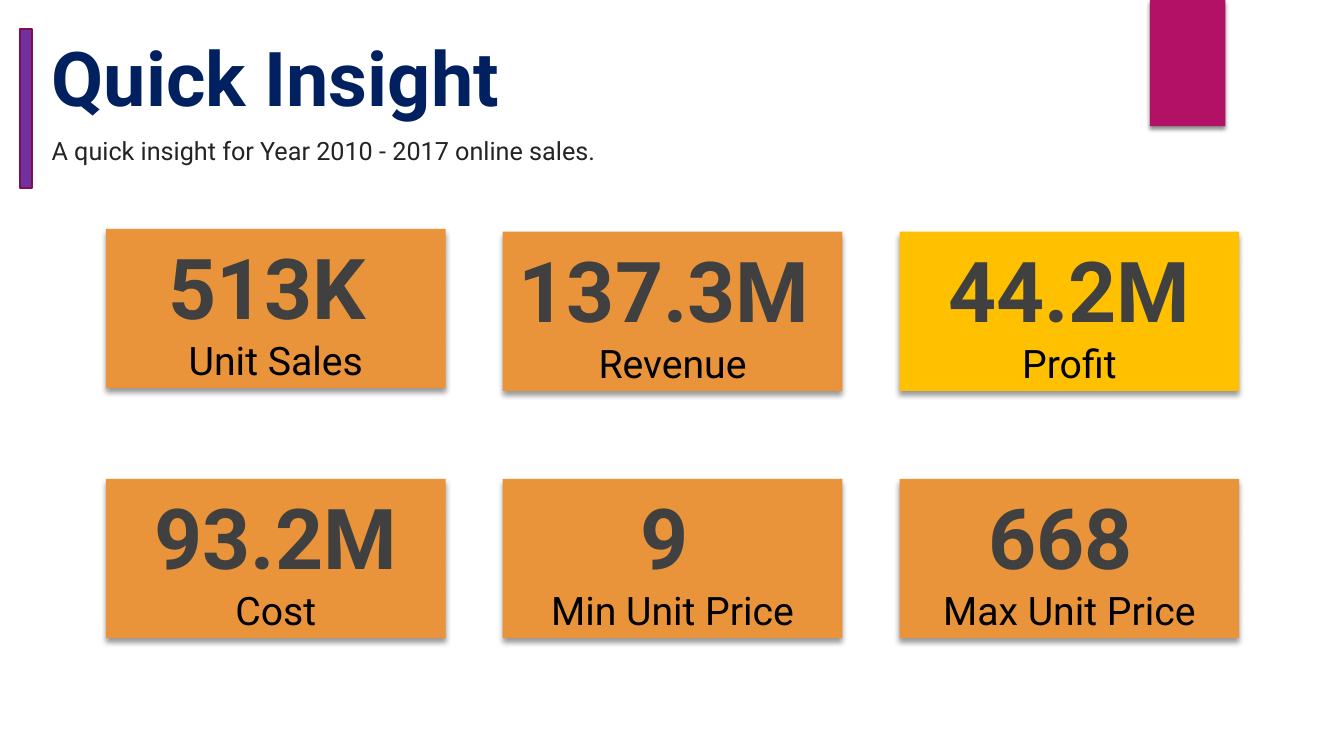
import lxml.etree
import pptx
import pptx.dml.color
import pptx.enum.shapes
import pptx.enum.text
import pptx.oxml.ns
import pptx.util

Cm = pptx.util.Cm
Pt = pptx.util.Pt
shape_kind = pptx.enum.shapes.MSO_SHAPE
qn = pptx.oxml.ns.qn


def colour(hex_code):
    return pptx.dml.color.RGBColor.from_string(hex_code)


def write(para, text, size, color, font="Roboto", bold=False):
    span = para.add_run()
    span.text = text
    span.font.name = font
    span.font.size = Pt(size)
    span.font.bold = bold
    span.font.color.rgb = colour(color)


deck = pptx.Presentation()
deck.slide_width = Cm(33.87)
deck.slide_height = Cm(19.05)
page = deck.slides.add_slide(deck.slide_layouts[6])

accent_bar = page.shapes.add_shape(
    shape_kind.MATH_MINUS, Cm(-2.08), Cm(2.08), Cm(5.46), Cm(1.3))
accent_bar.rotation = 90
accent_bar.shadow.inherit = False
accent_bar.fill.solid()
accent_bar.fill.fore_color.rgb = colour("7030A0")
accent_bar.line.color.rgb = colour("840D4B")
accent_bar.line.width = Pt(1.5)

headings = [
    ("Quick Insight", 0.79, 27.66, 2.31, 54, "002060", True),
    ("A quick insight for Year 2010 - 2017 online sales.", 3.42, 31.09, 0.8, 18, "252423", False),
]
for text, top, width, height, size, color, bold in headings:
    box = page.shapes.add_textbox(Cm(1.3), Cm(top), Cm(width), Cm(height))
    frame = box.text_frame
    frame.word_wrap = True
    frame.margin_left = frame.margin_right = frame.margin_top = frame.margin_bottom = 0
    write(frame.paragraphs[0], text, size, color, bold=bold)

ribbon = page.shapes.add_shape(shape_kind.RECTANGLE, Cm(28.98), 0, Cm(1.9), Cm(3.18))
panels = [(ribbon, "B31166", 45, 3, 2)]

orange, gold = "E9943A", "FFC000"
cards = [
    ("513K", "Unit Sales", 5.77, orange, True),
    ("137.3M", "Revenue", 5.84, orange, True),
    ("44.2M", "Profit", 5.84, gold, False),
    ("93.2M", "Cost", 12.07, orange, False),
    ("9", "Min Unit Price", 12.07, orange, True),
    ("668", "Max Unit Price", 12.07, orange, True),
]
for index, (value, label, top, fill, trailing_space) in enumerate(cards):
    left = 2.67 + index % 3 * 10
    card = page.shapes.add_shape(
        shape_kind.RECTANGLE, Cm(left), Cm(top), Cm(8.56), Cm(4.01))
    panels.append((card, fill, 40, 4, 3))
    frame = card.text_frame
    frame.word_wrap = True
    frame.vertical_anchor = pptx.enum.text.MSO_ANCHOR.BOTTOM
    value_para = frame.paragraphs[0]
    write(value_para, value, 60, "404040", bold=True)
    if trailing_space:
        write(value_para, " ", 44, "000000", font="Quicksand")
    label_para = frame.add_paragraph()
    write(label_para, label, 28, "000000")
    for para in frame.paragraphs:
        para.alignment = pptx.enum.text.PP_ALIGN.CENTER

for panel, fill, opacity, blur, distance in panels:
    panel.fill.solid()
    panel.fill.fore_color.rgb = colour(fill)
    panel.line.fill.background()
    panel.shadow.inherit = False
    effects = panel.fill._xPr.find(qn("a:effectLst"))
    shadow = lxml.etree.SubElement(
        effects, qn("a:outerShdw"), blurRad=str(Pt(blur)), dist=str(Pt(distance)),
        dir="5400000", algn="ctr", rotWithShape="0")
    shade = lxml.etree.SubElement(shadow, qn("a:srgbClr"), val="000000")
    lxml.etree.SubElement(shade, qn("a:alpha"), val=str(opacity * 1000))

deck.save("out.pptx")
